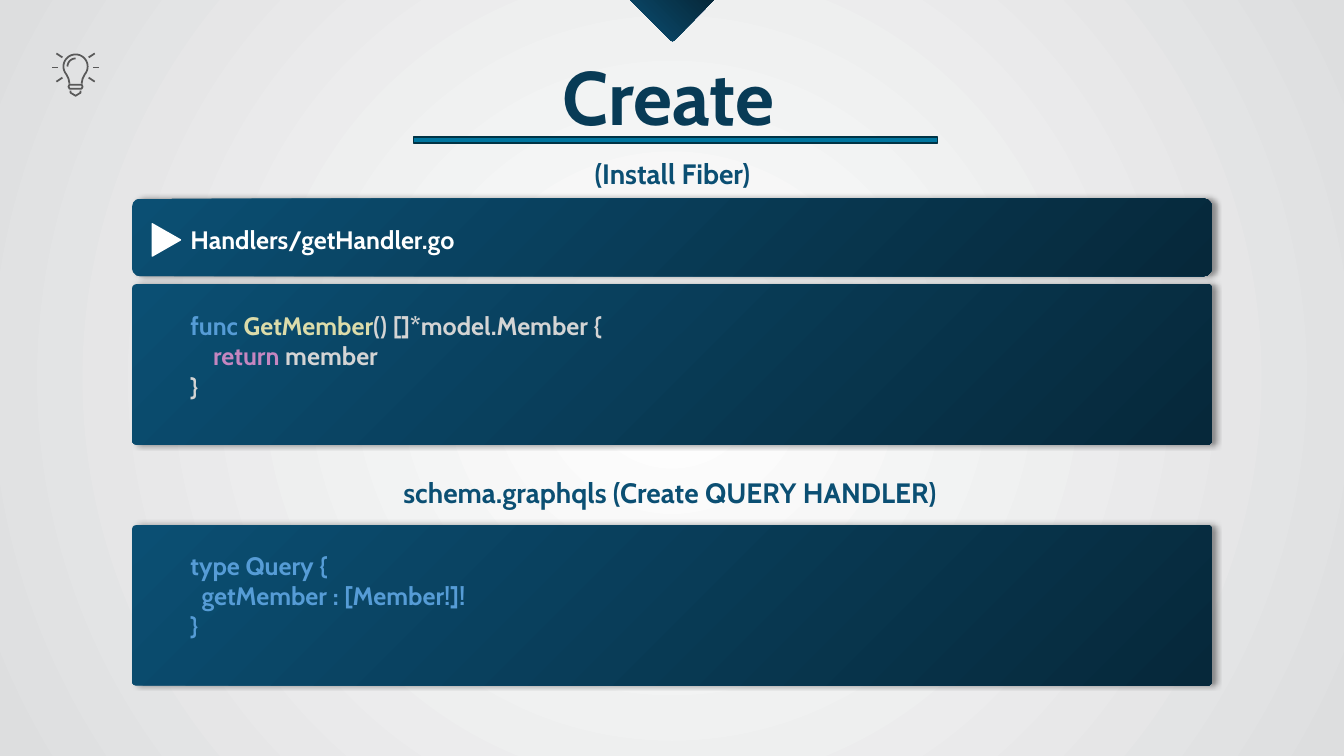
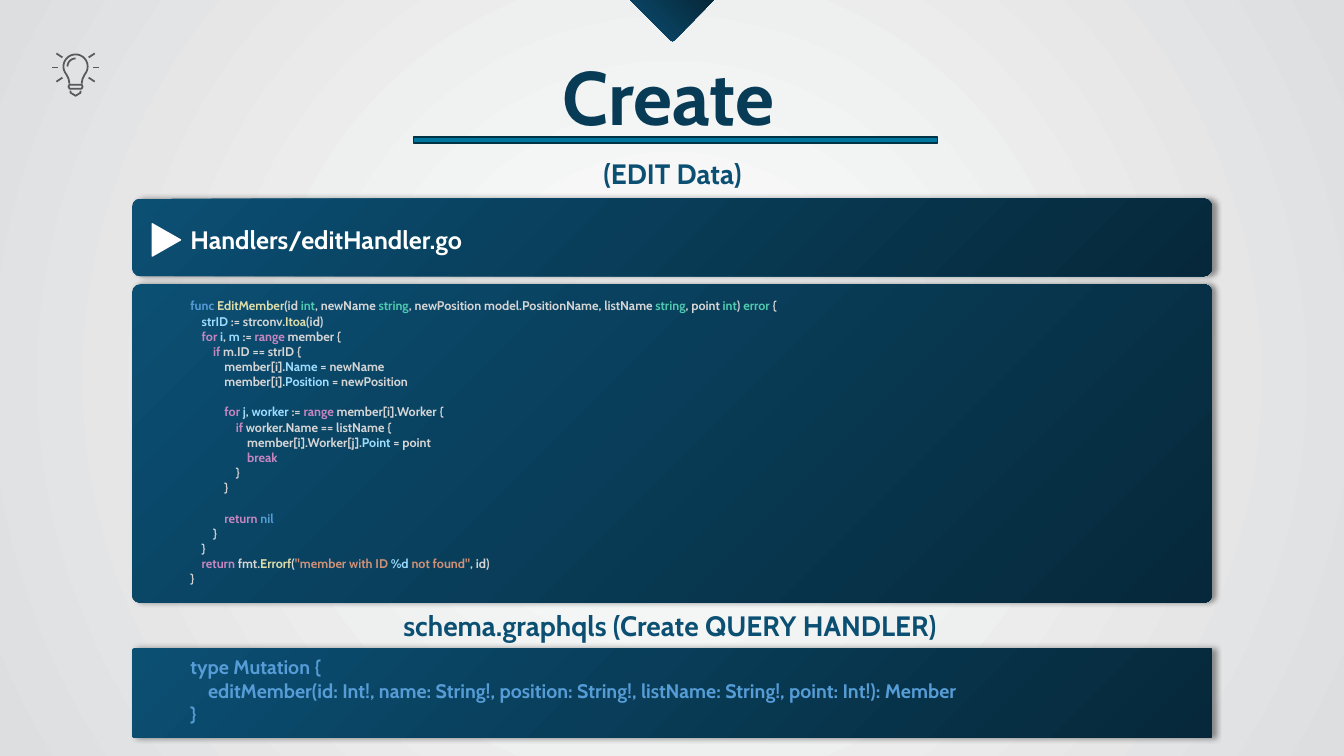
from math import cos, radians, sin

from lxml import etree
from pptx import Presentation
from pptx.dml.color import RGBColor
from pptx.enum.shapes import MSO_SHAPE
from pptx.enum.text import PP_ALIGN
from pptx.oxml.ns import qn
from pptx.util import Inches, Pt

RECT = MSO_SHAPE.RECTANGLE
ROUND_RECT = MSO_SHAPE.ROUNDED_RECTANGLE
TRIANGLE = MSO_SHAPE.ISOSCELES_TRIANGLE
LEFT, CENTER = PP_ALIGN.LEFT, PP_ALIGN.CENTER


class Theme:
    font = "Cabin"
    # Colours
    title, heading, white, icon = "083B56", "0B4F73", "FFFFFF", "595959"
    rule, rule_edge = "00759E", "003345"
    panel = ("0B4F73", "06283A")
    backdrop = ("FFFFFF", "DDDEDF")
    # Type sizes
    title_size, heading_size, file_size = 54, 20, 18
    code_large, code_medium, code_small = 18, 14, 9


# Syntax colours
KEYWORD, FUNC, PLAIN, FLOW = "569CD6", "DCDCAA", "D4D4D4", "C586C0"
TYPE, NAME, STRING = "4EC9B0", "9CDCFE", "CE9178"

# Content: a code line is a list of (text, colour) pairs; an empty list is a blank line
GET_HANDLER = [
    [("func ", KEYWORD), ("GetMember", FUNC), ("() []*model.Member {", PLAIN)],
    [("    return", FLOW), (" member", PLAIN)],
    [("}", PLAIN)],
]
EDIT_HANDLER = [
    [("func ", KEYWORD), ("EditMember", FUNC), ("(id ", PLAIN), ("int", TYPE),
     (", newName ", PLAIN), ("string", TYPE),
     (", newPosition model.PositionName, listName ", PLAIN), ("string", TYPE),
     (", point ", PLAIN), ("int", TYPE), (") ", PLAIN), ("error", TYPE), (" {", PLAIN)],
    [("    strID", NAME), (" := strconv.", PLAIN), ("Itoa", FUNC), ("(id)", PLAIN)],
    [("    for ", FLOW), ("i", NAME), (", ", PLAIN), ("m", NAME), (" := ", PLAIN),
     ("range", FLOW), (" member {", PLAIN)],
    [("        if", FLOW), (" m.ID == strID {", PLAIN)],
    [("            member[i].", PLAIN), ("Name", NAME), (" = newName", PLAIN)],
    [("            member[i].", PLAIN), ("Position", NAME), (" = newPosition", PLAIN)],
    [],
    [("            for ", FLOW), ("j", NAME), (", ", PLAIN), ("worker", NAME),
     (" := ", PLAIN), ("range", FLOW), (" member[i].Worker {", PLAIN)],
    [("                if ", FLOW), ("worker.Name == listName {", PLAIN)],
    [("                    member[i].Worker[j].", PLAIN), ("Point", NAME),
     (" = point", PLAIN)],
    [("                    break", FLOW)],
    [("                }", PLAIN)],
    [("            }", PLAIN)],
    [],
    [("            return ", FLOW), ("nil", KEYWORD)],
    [("        }", PLAIN)],
    [("    }", PLAIN)],
    [("    return ", FLOW), ("fmt.", PLAIN), ("Errorf", FUNC), ("(", PLAIN),
     ('"member with ID ', STRING), ("%d", NAME), (' not found"', STRING),
     (", id)", PLAIN)],
    [("}", PLAIN)],
]
QUERY = [
    [("type Query {", KEYWORD)],
    [("  getMember : [Member!]!", KEYWORD)],
    [("}", KEYWORD)],
]
MUTATION = [
    [("type Mutation {", KEYWORD)],
    [("    editMember(id: Int!, name: String!, position: String!, "
      "listName: String!, point: Int!): Member", KEYWORD)],
    [("}", KEYWORD)],
]
TITLE = "Create"
SCHEMA_HEADING = "schema.graphqls (Create QUERY HANDLER)"

# Panels: code, type size, top, height, gap above the text (inches)
SLIDES = [
    {"subtitle": "(Install Fiber)", "file": "Handlers/getHandler.go",
     "schema_top": 4.67,
     "panels": [(GET_HANDLER, Theme.code_large, 2.82, 1.59, 0.21),
                (QUERY, Theme.code_large, 5.21, 1.59, 0.2)]},
    {"subtitle": "(EDIT Data)", "file": "Handlers/editHandler.go",
     "schema_top": 5.99,
     "panels": [(EDIT_HANDLER, Theme.code_small, 2.82, 3.16, 0.09),
                (MUTATION, Theme.code_medium, 6.43, 0.89, 0.02)]},
]

# Shared layout (inches)
PANEL_LEFT, PANEL_WIDTH = 1.31, 10.71
TEXT_LEFT, TEXT_WIDTH = 1.79, 9.76
CORNER = 0.08 / 0.77
PANEL_CORNER = 0.025
LINE_PITCH = 1.2


def rgb(value):
    return RGBColor.from_string(value)


def set_gradient(fill, colours, angle=315):
    fill.gradient()
    fill.gradient_angle = angle
    for stop, colour in zip(fill.gradient_stops, colours):
        stop.color.rgb = rgb(colour)


def add_shadow(shape):
    effects = etree.SubElement(shape._element.spPr, qn("a:effectLst"))
    outer = etree.SubElement(effects, qn("a:outerShdw"), blurRad=str(Pt(4)),
                             dist=str(Pt(3)), dir="0", algn="l", rotWithShape="0")
    black = etree.SubElement(outer, qn("a:srgbClr"), val="000000")
    etree.SubElement(black, qn("a:alpha"), val="40000")


def add_text(slide, lines, left, top, width, height, *, size,
             colour=Theme.white, align=LEFT):
    """Write a plain string, or lines of (text, colour) pairs."""
    if isinstance(lines, str):
        lines = [[(lines, colour)]]
    box = slide.shapes.add_textbox(*map(Inches, (left, top, width, height)))
    frame = box.text_frame
    frame.word_wrap = True
    paragraph, blank_before = frame.paragraphs[0], False
    for index, line in enumerate(lines):
        if not line:
            blank_before = True
            continue
        if index:
            paragraph = frame.add_paragraph()
        if blank_before:
            paragraph.space_before = Pt(size * LINE_PITCH)
            blank_before = False
        paragraph.alignment = align
        for text, run_colour in line:
            run = paragraph.add_run()
            run.text = text
            run.font.name, run.font.size, run.font.bold = Theme.font, Pt(size), True
            run.font.color.rgb = rgb(run_colour)


def add_solid(slide, kind, left, top, width, height, *, fill, edge):
    shape = slide.shapes.add_shape(kind, *map(Inches, (left, top, width, height)))
    shape.shadow.inherit = False
    shape.fill.solid()
    shape.fill.fore_color.rgb = rgb(fill)
    shape.line.color.rgb = rgb(edge)
    shape.line.width = Pt(1)
    return shape


def add_panel(slide, top, height, corner):
    panel = slide.shapes.add_shape(
        ROUND_RECT, *map(Inches, (PANEL_LEFT, top, PANEL_WIDTH, height)))
    panel.adjustments[0] = corner
    set_gradient(panel.fill, Theme.panel)
    panel.line.fill.background()
    add_shadow(panel)


def add_outline(slide, contours, close):
    """Build one freeform from contours given in inches."""
    contours = [[(Inches(x), Inches(y)) for x, y in points] for points in contours]
    builder = slide.shapes.build_freeform(*contours[0][0], scale=1.0)
    for points in contours:
        builder.move_to(*points[0])
        builder.add_line_segments(points[1:], close=close)
    shape = builder.convert_to_shape()
    shape.shadow.inherit = False
    return shape


def arc(centre_x, centre_y, radius, start, end, step=10):
    return [(centre_x + radius * cos(radians(a)), centre_y + radius * sin(radians(a)))
            for a in range(start, end + 1, step)]


def add_bulb(slide):
    x, y = 0.75, 0.66
    glass = [(0.69, 0.83), (0.68, 0.78), *arc(x, y, 0.12, 140, 400),
             (0.82, 0.78), (0.81, 0.83)]
    base = [(0.69, 0.84), (0.81, 0.84), (0.82, 0.86), (0.81, 0.88),
            (0.69, 0.88), (0.68, 0.86), (0.69, 0.84)]
    tip = [(0.7, 0.9), (0.7, 0.92), (x, 0.95), (0.8, 0.92), (0.8, 0.9)]
    left_rays = [[(0.52, 0.67), (0.58, 0.67)], [(0.56, 0.53), (0.62, 0.57)],
                 [(0.56, 0.81), (0.62, 0.77)]]
    right_rays = [[(2 * x - px, py) for px, py in ray] for ray in left_rays]
    bulb = add_outline(slide, [glass, base, tip, arc(x, y, 0.08, 180, 270),
                               *left_rays, *right_rays], close=False)
    bulb.fill.background()
    bulb.line.color.rgb = rgb(Theme.icon)
    bulb.line.width = Pt(1.25)


def add_header(slide, subtitle):
    pointer = add_outline(slide, [[(6.25, 0), (6.65, 0.4), (6.67, 0.41),
                                   (6.69, 0.4), (7.08, 0)]], close=True)
    set_gradient(pointer.fill, Theme.panel, angle=45)
    pointer.line.fill.background()
    add_text(slide, TITLE, 4.1, 0.45, 5.06, 1.01, size=Theme.title_size,
             colour=Theme.title, align=CENTER)
    add_bulb(slide)
    add_text(slide, subtitle, 4.33, 1.5, 4.68, 0.44, size=Theme.heading_size,
             colour=Theme.heading, align=CENTER)
    add_solid(slide, RECT, 4.1, 1.36, 5.2, 0.06, fill=Theme.rule, edge=Theme.rule_edge)


def add_file_band(slide, file_name):
    add_panel(slide, 1.97, 0.77, CORNER)
    add_text(slide, file_name, TEXT_LEFT, 2.18, TEXT_WIDTH, 0.4, size=Theme.file_size)
    marker = add_solid(slide, TRIANGLE, 1.49, 2.24, 0.32, 0.28,
                       fill=Theme.white, edge=Theme.white)
    marker.rotation = 90


def set_backdrop(master):
    set_gradient(master.background.fill, Theme.backdrop)
    gradient = master.element.find(".//" + qn("p:bgPr") + "/" + qn("a:gradFill"))
    gradient.remove(gradient.find(qn("a:lin")))
    circle = etree.SubElement(gradient, qn("a:path"), path="circle")
    etree.SubElement(circle, qn("a:fillToRect"), l="50000", t="50000",
                     r="50000", b="50000")


def main():
    deck = Presentation()
    deck.slide_width, deck.slide_height = Inches(13.33), Inches(7.5)
    set_backdrop(deck.slide_master)
    for content in SLIDES:
        slide = deck.slides.add_slide(deck.slide_layouts[6])
        add_header(slide, content["subtitle"])
        add_file_band(slide, content["file"])
        for code, size, top, height, gap in content["panels"]:
            add_panel(slide, top, height, PANEL_CORNER)
            add_text(slide, code, TEXT_LEFT, top + gap, TEXT_WIDTH, height - 2 * gap,
                     size=size)
        add_text(slide, SCHEMA_HEADING, 1.29, content["schema_top"], PANEL_WIDTH, 0.44,
                 size=Theme.heading_size, colour=Theme.heading, align=CENTER)
    deck.save("out.pptx")


if __name__ == "__main__":
    main()
